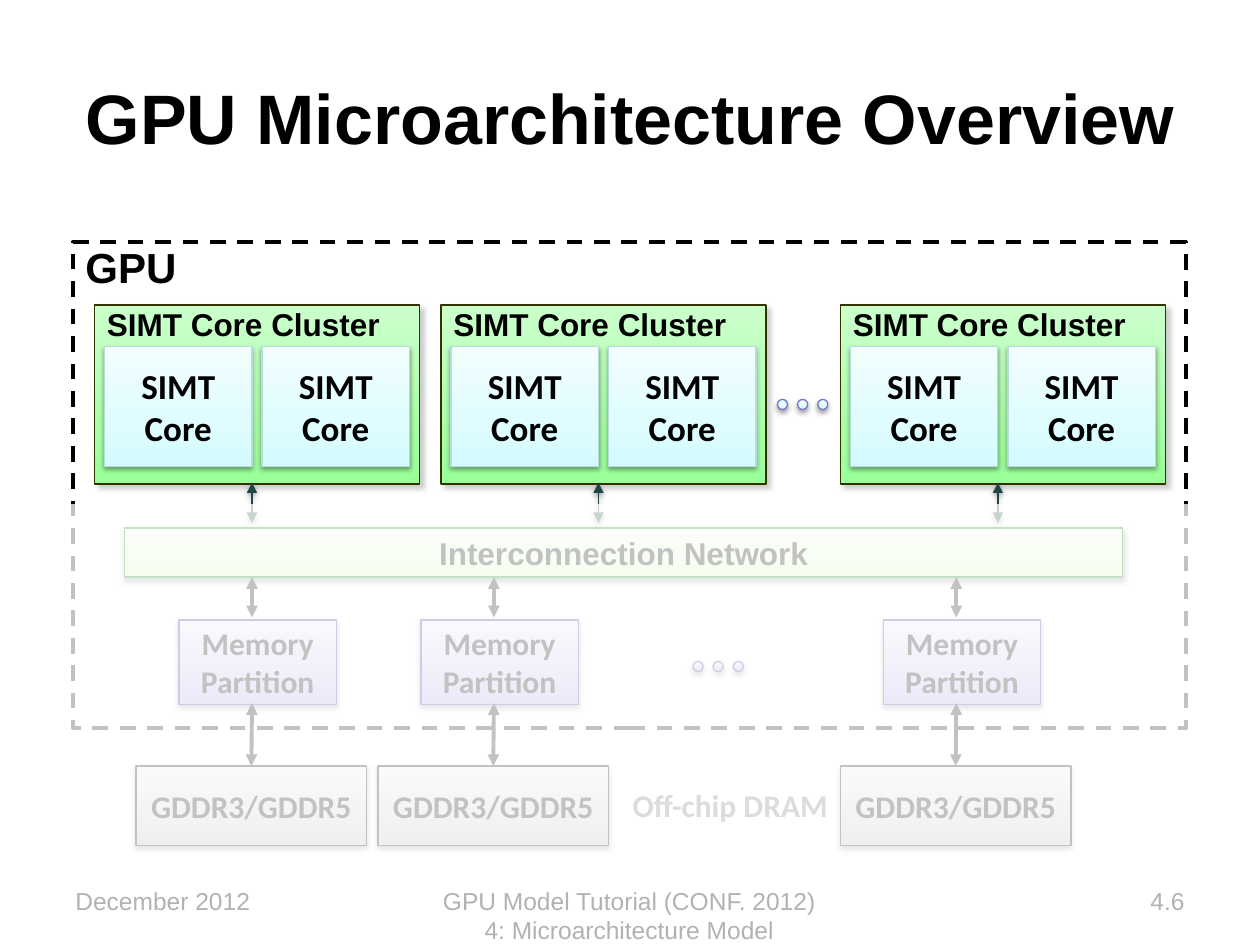
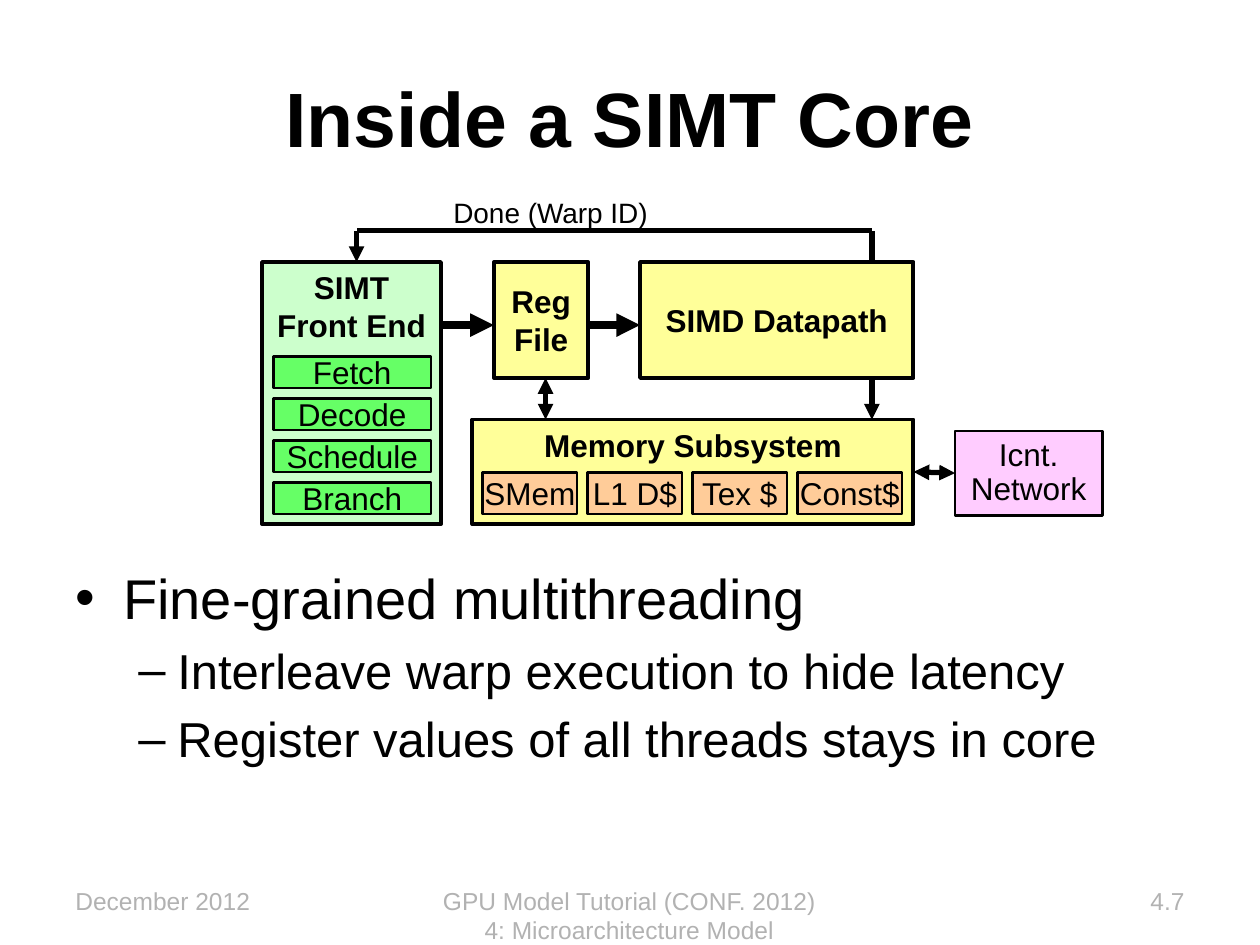
from lxml.etree import SubElement
from pptx import Presentation
from pptx.dml.color import RGBColor
from pptx.enum.dml import MSO_LINE
from pptx.enum.shapes import MSO_CONNECTOR, MSO_SHAPE
from pptx.enum.text import MSO_ANCHOR, PP_ALIGN
from pptx.oxml.ns import qn
from pptx.util import Inches, Pt

COLORS = {
    "black": "000000", "white": "FFFFFF", "footer": "B2B2B2",
    "caption": "707070", "cluster_line": "333300", "core_line": "B6DCDF",
    "dot_line": "7575D1", "network_line": "008000", "memory_line": "2F2F98",
    "link": "1E4649", "front_end": "CCFFCC", "stage": "66FF66",
    "unit": "FFFF99", "cache": "FFCC99", "outside": "FFCCFF",
}
GRADIENTS = {
    "cluster": [(0, "99FF99"), (100, "CCFFCC")],
    "core": [(0, "D3FBFF"), (35, "DFFCFF"), (100, "F2FEFF")],
    "network": [(0, "DAFABB"), (50, "E7FBD4"), (100, "F3FDE9")],
    "memory": [(0, "A9A9E9"), (35, "C4C4EF"), (100, "E8E8FA")],
    "dram": [(0, "BDBDBD"), (35, "D1D1D1"), (100, "EEEEEE")],
}
SOFT_SHADOW = (38, 3.1, 1.6, 90)
CLUSTER_SHADOW = (20, 3, 3, 45)
FOOTER_LINES = ["GPU Model Tutorial (CONF. 2012)", "4: Microarchitecture Model"]


def rgb(name):
    """Return the named colour."""
    return RGBColor.from_string(COLORS[name])


def write(shape, lines, size, color="black", bold=False, font="Arial",
          align=PP_ALIGN.CENTER, anchor=MSO_ANCHOR.MIDDLE, wrap=False,
          top_inset=0.05, spacing=None):
    """Write one paragraph for each line into a shape."""
    frame = shape.text_frame
    frame.word_wrap = wrap
    frame.vertical_anchor = anchor
    frame.margin_top = Inches(top_inset)
    frame.text = "\n".join(lines)
    for paragraph in frame.paragraphs:
        paragraph.alignment = align
        paragraph.line_spacing = spacing
        paragraph.font.name = font
        paragraph.font.size = Pt(size)
        paragraph.font.bold = bold
        paragraph.font.color.rgb = rgb(color)


def add_text(slide, box, lines, size, **style):
    """Add a text box."""
    shape = slide.shapes.add_textbox(*map(Inches, box))
    write(shape, lines, size, **style)
    return shape


def add_effects(shape, shadow):
    """Give a shape or connector the given shadow, or none."""
    properties = shape._element.spPr
    effects = properties.find(qn("a:effectLst"))
    if effects is None:
        effects = SubElement(properties, qn("a:effectLst"))
    if shadow:
        opacity, blur, distance, angle = shadow
        outer = SubElement(effects, qn("a:outerShdw"), blurRad=str(Pt(blur)),
                           dist=str(Pt(distance)), dir=str(angle * 60000),
                           rotWithShape="0")
        color = SubElement(outer, qn("a:srgbClr"), val=COLORS["black"])
        SubElement(color, qn("a:alpha"), val=str(opacity * 1000))


def fill_gradient(shape, stops):
    """Fill a shape with a gradient that rises from its bottom edge."""
    shape.fill.gradient()
    shape.fill.gradient_angle = 90
    stop_list = shape._element.spPr.find(qn("a:gradFill")).find(qn("a:gsLst"))
    for stop in list(stop_list):
        stop_list.remove(stop)
    for position, color in stops:
        stop = SubElement(stop_list, qn("a:gs"), pos=str(position * 1000))
        SubElement(stop, qn("a:srgbClr"), val=color)


def add_box(slide, box, fill=None, line="black", width=0.75, shadow=None,
            kind=MSO_SHAPE.RECTANGLE):
    """Add a shape with a plain, gradient or empty fill."""
    shape = slide.shapes.add_shape(kind, *map(Inches, box))
    shape.shadow.inherit = False
    add_effects(shape, shadow)
    if fill in GRADIENTS:
        fill_gradient(shape, GRADIENTS[fill])
    elif fill:
        shape.fill.solid()
        shape.fill.fore_color.rgb = rgb(fill)
    else:
        shape.fill.background()
    if line:
        shape.line.color.rgb = rgb(line)
        shape.line.width = Pt(width)
    else:
        shape.line.fill.background()
    return shape


def add_line(slide, start, end, width, heads=(), color="black", shadow=None):
    """Add a straight line with arrowheads at the named ends."""
    line = slide.shapes.add_connector(
        MSO_CONNECTOR.STRAIGHT, *map(Inches, (*start, *end)))
    line.line.color.rgb = rgb(color)
    line.line.width = Pt(width)
    for head in heads:
        SubElement(line.line._get_or_add_ln(), qn(f"a:{head}"), type="triangle")
    add_effects(line, shadow)
    return line


ONE_WAY = ("tailEnd",)
TWO_WAY = ("headEnd", "tailEnd")


def add_frame(presentation, title, title_size, number):
    """Add a slide with its title and footers."""
    slide = presentation.slides.add_slide(presentation.slide_layouts[6])
    add_text(slide, (0.5, 0.3, 9, 1.25), [title], title_size, bold=True,
             wrap=True)
    footers = [
        (0.5, 2.33, ["December 2012"], PP_ALIGN.LEFT),
        (3.33, 3.33, FOOTER_LINES, PP_ALIGN.CENTER),
        (7.17, 2.33, [number], PP_ALIGN.RIGHT),
    ]
    for left, width, lines, align in footers:
        add_text(slide, (left, 6.98, width, 0.52), lines, 14, color="footer",
                 align=align, anchor=MSO_ANCHOR.TOP, wrap=True)
    return slide


def add_dots(slide, left, top, fill, line):
    """Add the three dots that stand for further units."""
    for index in range(3):
        add_box(slide, (left + index * 0.16, top, 0.08, 0.08), fill, line,
                shadow=SOFT_SHADOW, kind=MSO_SHAPE.OVAL)


def add_cluster(slide, left):
    """Add a core cluster, its two cores and its network link."""
    cluster = add_box(slide, (left, 2.42, 2.58, 1.42), "cluster",
                      "cluster_line", 1, CLUSTER_SHADOW)
    write(cluster, ["SIMT Core Cluster"], 18, bold=True, align=PP_ALIGN.LEFT,
          anchor=MSO_ANCHOR.TOP, top_inset=0)
    for offset in (0.08, 1.33):
        core = add_box(slide, (left + offset, 2.75, 1.17, 0.95), "core",
                       "core_line", shadow=SOFT_SHADOW)
        write(core, ["SIMT", "Core"], 20, bold=True, font="Calibri")
    link = left + 1.25
    add_line(slide, (link, 3.83), (link, 4.15), 0.75, TWO_WAY, "link",
             SOFT_SHADOW)


def add_memory_column(slide, center):
    """Add a memory partition, its DRAM and the links around them."""
    partition = add_box(slide, (center - 0.58, 4.92, 1.25, 0.67), "memory",
                        "memory_line", shadow=SOFT_SHADOW)
    write(partition, ["Memory", "Partition"], 18, bold=True, font="Calibri")
    dram = add_box(slide, (center - 0.92, 6.08, 1.83, 0.63), "dram",
                   shadow=SOFT_SHADOW)
    write(dram, ["GDDR3/GDDR5"], 18, bold=True, font="Calibri")
    add_line(slide, (center, 4.58), (center, 4.9), 2.25, TWO_WAY)
    link = add_line(slide, (center, 5.58), (center, 6.08), 2.25, TWO_WAY)
    link.end_connect(dram, 0)


def add_veil(slide, box):
    """Add a translucent white sheet that fades what lies below."""
    veil = add_box(slide, box, "white", None)
    color = veil._element.spPr.find(qn("a:solidFill")).find(qn("a:srgbClr"))
    SubElement(color, qn("a:alpha"), val="76000")


def add_bullets(slide, box, items):
    """Add a two-level bulleted list."""
    levels = [("•", 32, 0.38, 0.38), ("–", 28, 0.81, 0.31)]
    body = add_text(slide, box, [text for _, text in items], 32,
                    align=PP_ALIGN.LEFT, anchor=MSO_ANCHOR.TOP, wrap=True)
    for paragraph, (level, _) in zip(body.text_frame.paragraphs, items):
        bullet, size, margin, hanging = levels[level]
        paragraph.level = level
        paragraph.font.size = Pt(size)
        paragraph.space_before = Pt(size * 0.2)
        properties = paragraph._p.get_or_add_pPr()
        properties.set("marL", str(Inches(margin)))
        properties.set("indent", str(-Inches(hanging)))
        bullet_font = properties.makeelement(qn("a:buFont"), typeface="Arial")
        bullet_mark = properties.makeelement(qn("a:buChar"), char=bullet)
        defaults = properties.find(qn("a:defRPr"))
        defaults.addprevious(bullet_font)
        defaults.addprevious(bullet_mark)


def add_unit(slide, box, lines, fill, width=2.25, bold=True, **style):
    """Add a labelled flat block of the core diagram."""
    unit = add_box(slide, box, fill, width=width)
    write(unit, lines, 18, bold=bold, **style)
    return unit


def build_overview(presentation):
    """Build the overview of clusters, network and memory."""
    slide = add_frame(presentation, "GPU Microarchitecture Overview", 40, "4.6")
    gpu = add_box(slide, (0.58, 1.92, 8.83, 3.86), width=2.25)
    gpu.line.dash_style = MSO_LINE.DASH
    write(gpu, ["GPU"], 24, bold=True, align=PP_ALIGN.LEFT,
          anchor=MSO_ANCHOR.TOP, top_inset=0)
    add_dots(slide, 6.17, 3.17, "core", "dot_line")
    network = add_box(slide, (0.99, 4.19, 7.92, 0.39), "network",
                      "network_line", shadow=SOFT_SHADOW)
    write(network, ["Interconnection Network"], 18, bold=True)
    add_dots(slide, 5.5, 5.25, "memory", "memory_line")
    for left in (0.75, 3.5, 6.67):
        add_cluster(slide, left)
    for center in (2, 3.92, 7.59):
        add_memory_column(slide, center)
    add_text(slide, (4.92, 6.2, 1.75, 0.37), ["Off-chip DRAM"], 18,
             color="caption", bold=True, font="Calibri")
    add_veil(slide, (0.5, 4, 9, 2.92))


def build_core(presentation):
    """Build the diagram of one core and its summary."""
    slide = add_frame(presentation, "Inside a SIMT Core", 44, "4.7")
    add_bullets(slide, (0.5, 4.42, 9, 2.28), [
        (0, "Fine-grained multithreading"),
        (1, "Interleave warp execution to hide latency"),
        (1, "Register values of all threads stays in core"),
    ])
    add_unit(slide, (2.08, 2.08, 1.42, 2.08), ["SIMT", "Front End"],
             "front_end", anchor=MSO_ANCHOR.TOP)
    for index, stage in enumerate(["Fetch", "Decode", "Schedule", "Branch"]):
        add_unit(slide, (2.17, 2.83 + index / 3, 1.25, 0.25), [stage],
                 "stage", 1.5, False)
    add_unit(slide, (3.92, 2.08, 0.75, 0.92), ["Reg", "File"], "unit")
    add_unit(slide, (5.08, 2.08, 2.17, 0.92), ["SIMD Datapath"], "unit")
    memory = add_unit(slide, (3.75, 3.33, 3.5, 0.83), ["Memory Subsystem"],
                      "unit", anchor=MSO_ANCHOR.TOP)
    caches = [("SMem", 0.75), ("L1 D$", 0.75), ("Tex $", 0.75), ("Const$", 0.83)]
    for index, (cache, width) in enumerate(caches):
        add_unit(slide, (3.83 + index * 5 / 6, 3.75, width, 0.33), [cache],
                 "cache", 1.5, False)
    outside = add_unit(slide, (7.58, 3.42, 1.17, 0.67), ["Icnt.", "Network"],
                       "outside", 1.5, False, spacing=0.9)
    add_text(slide, (3.5, 1.5, 1.76, 0.37), ["Done (Warp ID)"], 16,
             align=PP_ALIGN.LEFT, anchor=MSO_ANCHOR.TOP)
    for start, end, width, heads in [
        ((3.5, 2.58), (3.92, 2.58), 4.5, ONE_WAY),
        ((4.67, 2.58), (5.08, 2.58), 4.5, ONE_WAY),
        ((6.92, 2.08), (6.92, 1.83), 3, ()),
        ((6.92, 1.83), (2.83, 1.83), 3, ()),
        ((2.83, 1.83), (2.83, 2.08), 3, ONE_WAY),
        ((6.92, 3), (6.92, 3.33), 3, ONE_WAY),
        ((4.33, 3), (4.33, 3.33), 3, TWO_WAY),
    ]:
        add_line(slide, start, end, width, heads)
    link = add_line(slide, (7.25, 3.75), (7.58, 3.75), 3, TWO_WAY)
    link.begin_connect(memory, 3)
    link.end_connect(outside, 1)


def main():
    """Build and save the presentation."""
    presentation = Presentation()
    presentation.slide_width = Inches(10)
    presentation.slide_height = Inches(7.5)
    build_overview(presentation)
    build_core(presentation)
    presentation.save("out.pptx")


if __name__ == "__main__":
    main()
